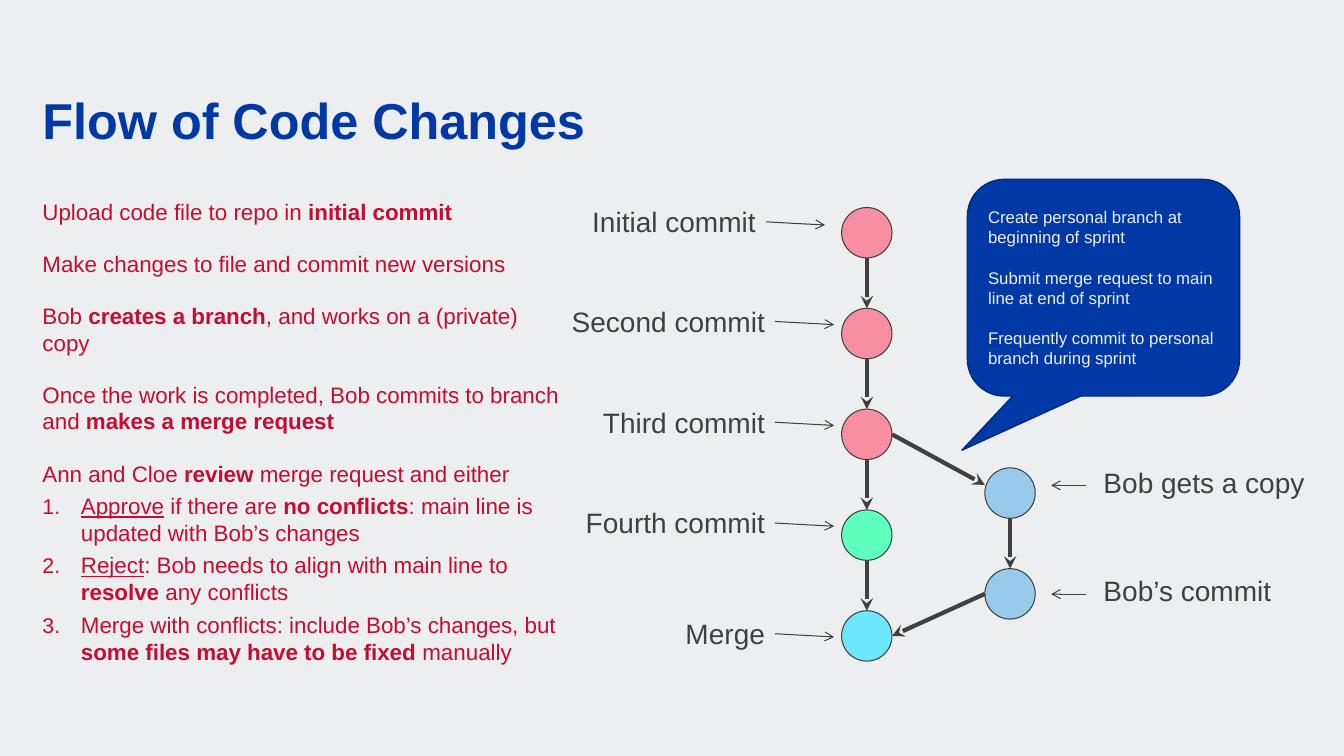
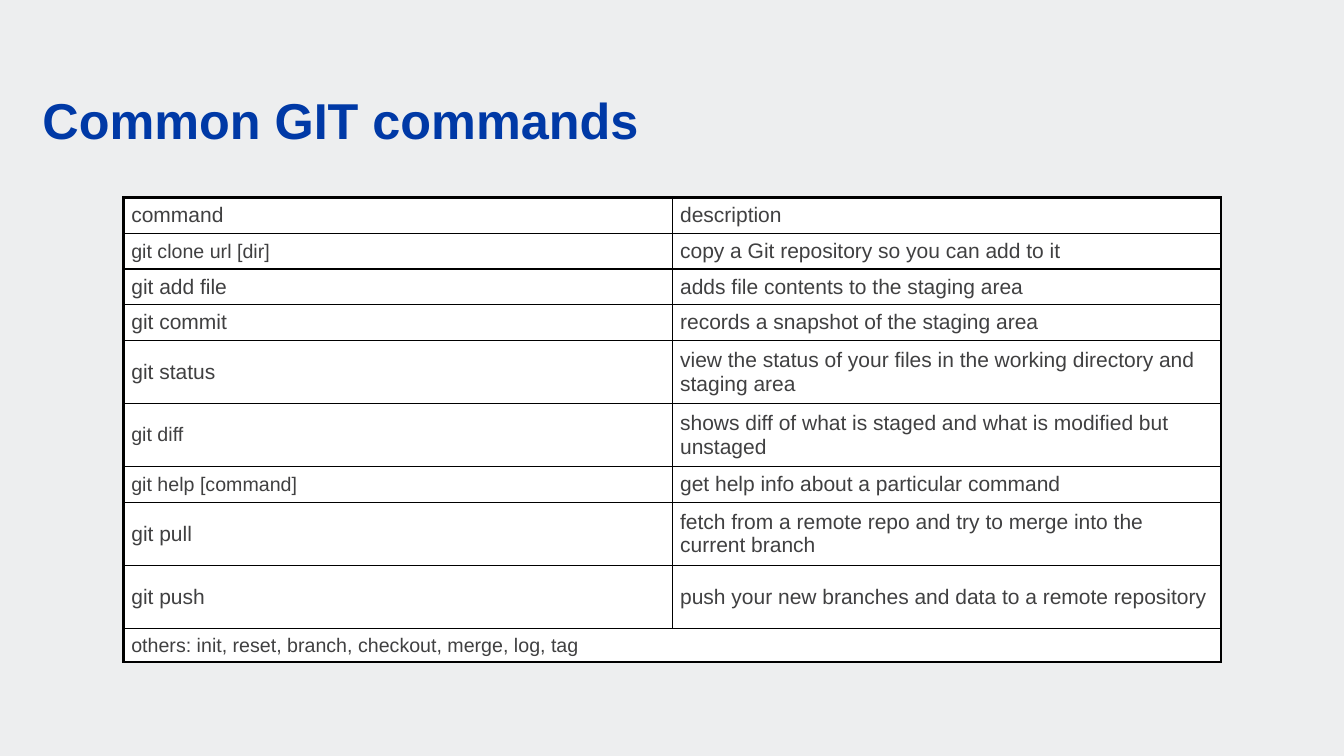
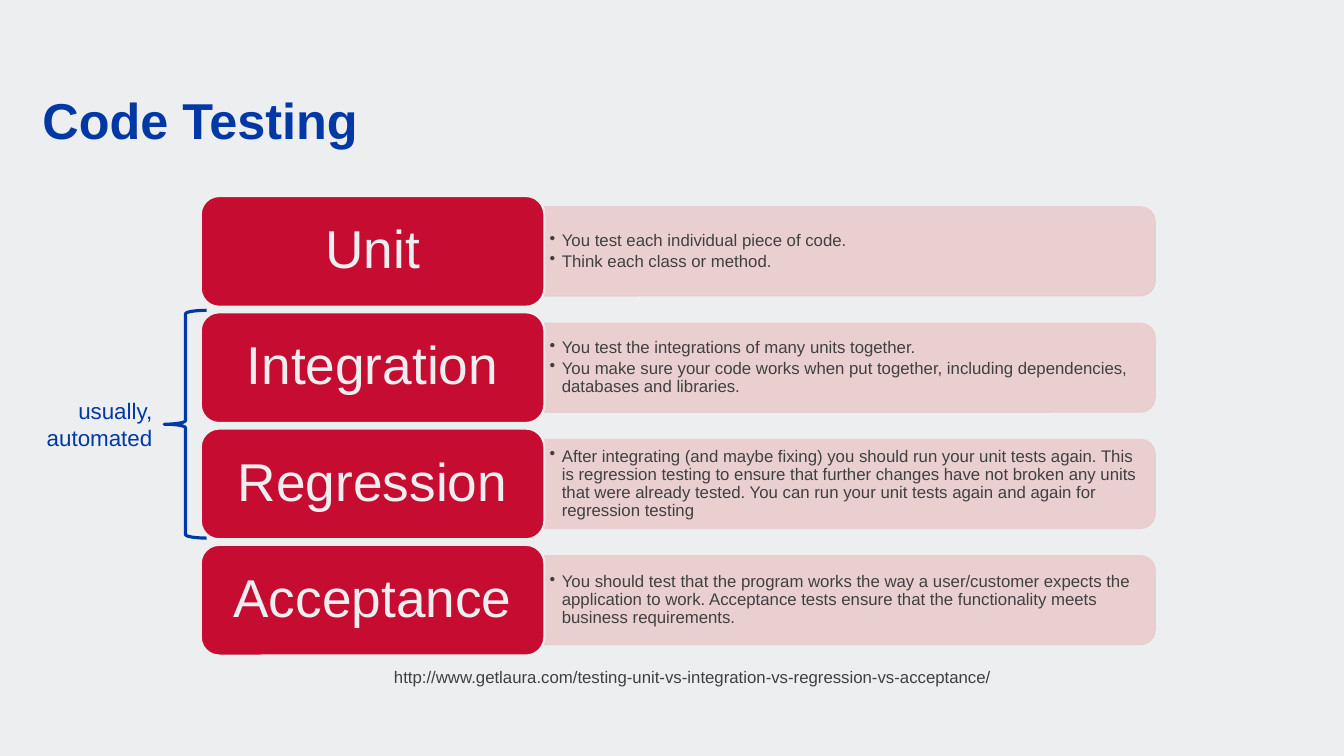
import lxml.etree
import pptx
import pptx.dml.color
import pptx.enum.shapes
import pptx.enum.text
import pptx.oxml.ns
import pptx.util

Cm = pptx.util.Cm
Pt = pptx.util.Pt
SHAPE = pptx.enum.shapes.MSO_SHAPE
ALIGN = pptx.enum.text.PP_ALIGN
ANCHOR = pptx.enum.text.MSO_ANCHOR
AUTO_SIZE = pptx.enum.text.MSO_AUTO_SIZE

FONT = "Arial"
PAPER, BLUE, NAVY, RED = "EDEEEF", "0039A6", "002A7B", "C60C30"
INK, BLUSH, PINK, SKY = "404041", "EACCCD", "F88EA2", "97CAEB"
MINT, CYAN, WHITE, BLACK = "5FFFBE", "6DE7FC", "FFFFFF", "000000"


def rgb(code):
    return pptx.dml.color.RGBColor.from_string(code)


def add_xml(parent, tag, **attributes):
    return lxml.etree.SubElement(parent, pptx.oxml.ns.qn(tag), attributes)


def write(frame, text, size=12, color=INK, bold=False, align=ALIGN.LEFT, spacing=1.0,
          before=0, after=0, indent=0, bullet=None, numbered=False):
    """Append one paragraph per line; *stars* mark bold and _underscores_ underline."""
    for line in text.split("\n"):
        first = len(frame.paragraphs) == 1 and not frame.paragraphs[0].runs
        paragraph = frame.paragraphs[0] if first else frame.add_paragraph()
        paragraph.alignment = align
        paragraph.line_spacing = spacing
        paragraph.space_before = Pt(0 if first else before)
        paragraph.space_after = Pt(after)
        properties = paragraph._p.get_or_add_pPr()
        properties.set("marL", str(Cm(indent)))
        properties.set("indent", str(-Cm(indent)))
        if numbered:
            add_xml(properties, "a:buSzPct", val="95000")
            add_xml(properties, "a:buAutoNum", type="arabicPeriod")
        elif bullet:
            add_xml(properties, "a:buChar", char=bullet)
        else:
            add_xml(properties, "a:buNone")
        for i, part in enumerate(line.split("*")):
            for j, words in enumerate(part.split("_")):
                if words:
                    run = paragraph.add_run()
                    run.text = words
                    run.font.name = FONT
                    run.font.size = Pt(size)
                    run.font.color.rgb = rgb(color)
                    run.font.bold = bold or i % 2 == 1
                    run.font.underline = j % 2 == 1


def set_frame(frame, anchor=ANCHOR.TOP, insets=(0.25, 0.13), wrap=True):
    frame.word_wrap = wrap
    frame.auto_size = AUTO_SIZE.NONE if wrap else AUTO_SIZE.SHAPE_TO_FIT_TEXT
    frame.vertical_anchor = anchor
    frame.margin_left = frame.margin_right = Cm(insets[0])
    frame.margin_top = frame.margin_bottom = Cm(insets[1])
    return frame


class Deck:
    """Shared style and the current slide; all positions are in centimetres."""

    def __init__(self):
        self.presentation = pptx.Presentation()
        self.presentation.slide_width = Cm(33.87)
        self.presentation.slide_height = Cm(19.05)
        backdrop = self.presentation.slide_master.background.fill
        backdrop.solid()
        backdrop.fore_color.rgb = rgb(PAPER)
        self.slide = None

    def start(self, title, with_body=False):
        layout = self.presentation.slide_layouts[1 if with_body else 5]
        self.slide = self.presentation.slides.add_slide(layout)
        frame = self.place(self.slide.shapes.title, 1.07, 2.39, 31.75, 1.4, ANCHOR.BOTTOM)
        write(frame, title, size=36, color=BLUE, bold=True, spacing=0.9)

    def place(self, placeholder, left, top, width, height, anchor=ANCHOR.TOP):
        placeholder.left, placeholder.top = Cm(left), Cm(top)
        placeholder.width, placeholder.height = Cm(width), Cm(height)
        return set_frame(placeholder.text_frame, anchor, (0, 0))

    def body(self, left, top, width, height):
        return self.place(self.slide.placeholders[1], left, top, width, height)

    def label(self, text, left, top, width, height, anchor=ANCHOR.TOP,
              insets=(0.25, 0.13), wrap=True, **style):
        box = self.slide.shapes.add_textbox(Cm(left), Cm(top), Cm(width), Cm(height))
        write(set_frame(box.text_frame, anchor, insets, wrap), text, **style)

    def shape(self, kind, left, top, width, height, fill=None, line=INK, weight=0.75):
        figure = self.slide.shapes.add_shape(kind, Cm(left), Cm(top), Cm(width), Cm(height))
        figure.shadow.inherit = False
        if fill:
            figure.fill.solid()
            figure.fill.fore_color.rgb = rgb(fill)
        else:
            figure.fill.background()
        figure.line.color.rgb = rgb(line)
        figure.line.width = Pt(weight)
        return figure

    def arrow(self, start, end, weight=0.75, head="arrow"):
        straight = pptx.enum.shapes.MSO_CONNECTOR.STRAIGHT
        link = self.slide.shapes.add_connector(
            straight, *(Cm(value) for value in (*start, *end)))
        link.line.color.rgb = rgb(INK)
        link.line.width = Pt(weight)
        add_xml(link.line._get_or_add_ln(), "a:tailEnd", type=head)
        add_xml(link._element.spPr, "a:effectLst")

    def table(self, left, top, widths, heights):
        grid = self.slide.shapes.add_table(
            len(heights), len(widths), Cm(left), Cm(top),
            Cm(sum(widths)), Cm(sum(heights))).table
        grid.first_row = grid.horz_banding = False
        for column, width in zip(grid.columns, widths):
            column.width = Cm(width)
        for row, height in zip(grid.rows, heights):
            row.height = Cm(height)
        return grid

    def cell(self, grid, row, column, text, size):
        """Fill one cell; edges on the outside of the table are heavier."""
        cell = grid.cell(row, column)
        last_row, last_column = len(grid.rows) - 1, len(grid.columns) - 1
        outer = {"a:lnL": column == 0, "a:lnR": column == last_column or row == last_row,
                 "a:lnT": row == 0, "a:lnB": row == last_row}
        properties = cell._tc.get_or_add_tcPr()
        for side, heavy in outer.items():
            edge = add_xml(properties, side, w=str(Pt(2.25 if heavy else 1)))
            add_xml(add_xml(edge, "a:solidFill"), "a:srgbClr", val=BLACK)
        cell.fill.solid()
        cell.fill.fore_color.rgb = rgb(WHITE)
        cell.vertical_anchor = ANCHOR.MIDDLE
        cell.margin_left = cell.margin_right = Cm(0.2)
        cell.margin_top = cell.margin_bottom = Cm(0.1)
        write(cell.text_frame, text, size=size)


def code_changes(deck):
    deck.start("Flow of Code Changes", with_body=True)
    story = deck.body(1.07, 4.98, 13.16, 11.99)
    write(story, "Upload code file to repo in *initial commit*\n"
          "Make changes to file and commit new versions\n"
          "Bob *creates a branch*, and works on a (private) copy\n"
          "Once the work is completed, Bob commits to branch and *makes a merge request*\n"
          "Ann and Cloe *review* merge request and either", size=16, color=RED, before=18)
    write(story, "_Approve_ if there are *no conflicts*: main line is updated with Bob’s changes\n"
          "_Reject_: Bob needs to align with main line to *resolve* any conflicts\n"
          "Merge with conflicts: include Bob’s changes, but "
          "*some files may have to be fixed* manually",
          size=16, color=RED, before=4, indent=0.97, numbered=True)

    dot, pitch = 1.27, 2.54
    main_left, main_top = 21.21, 5.23
    branch_left, branch_top = 24.82, 11.79

    def commit(left, top, color, is_first):
        deck.shape(SHAPE.OVAL, left, top, dot, dot, color)
        if not is_first:
            middle = left + dot / 2
            deck.arrow((middle, top + dot - pitch), (middle, top), 3, "stealth")

    main_line = [("Initial commit", PINK, 19.3, -0.2), ("Second commit", PINK, 19.53, -0.23),
                 ("Third commit", PINK, 19.53, -0.23), ("Fourth commit", MINT, 19.53, -0.23),
                 ("Merge", CYAN, 19.53, 0.02)]
    for i, (name, color, right, shift) in enumerate(main_line):
        top = main_top + i * pitch
        commit(main_left, top, color, i == 0)
        deck.label(name, right - 6.15, top + shift, 6.15, 1.11, size=20, align=ALIGN.RIGHT)
        pointer = top + shift + 0.56
        deck.arrow((right, pointer), (right + 1.49, pointer + 0.08))

    for i, (name, width, shift) in enumerate([("Bob gets a copy", 5.61, -0.2),
                                              ("Bob’s commit", 4.78, 0)]):
        top = branch_top + i * pitch
        commit(branch_left, top, SKY, i == 0)
        deck.label(name, 27.56, top + shift, width, 1.11, wrap=False, size=20)
        pointer = top + shift + 0.64
        deck.arrow((27.36, pointer), (26.49, pointer))

    main_right = main_left + dot
    third_middle = main_top + 2 * pitch + dot / 2
    deck.arrow((main_right, third_middle), (branch_left, 12.22), 3, "stealth")
    deck.arrow((branch_left, branch_top + pitch + dot / 2),
               (main_right, third_middle + 2 * pitch), 3, "stealth")

    advice = deck.shape(SHAPE.ROUNDED_RECTANGULAR_CALLOUT, 24.38, 4.52, 6.86, 5.46,
                        BLUE, NAVY, 1)
    for i, value in enumerate((-0.52, 0.75, 0.17)):
        advice.adjustments[i] = value
    write(set_frame(advice.text_frame, ANCHOR.MIDDLE),
          "Create personal branch at beginning of sprint\n"
          "Submit merge request to main line at end of sprint\n"
          "Frequently commit to personal branch during sprint", color=PAPER, before=14.4)


def git_commands(deck):
    deck.start("Common GIT commands")
    low, high = 0.9, 1.59
    commands = [
        ("command", 15, "description", low),
        ("git clone url [dir]", 14, "copy a Git repository so you can add to it", low),
        ("git add file", 15, "adds file contents to the staging area", low),
        ("git commit", 15, "records a snapshot of the staging area", low),
        ("git status", 15,
         "view the status of your files in the working directory and staging area", high),
        ("git diff", 14, "shows diff of what is staged and what is modified but unstaged", high),
        ("git help [command]", 14, "get help info about a particular command", low),
        ("git pull", 15, "fetch from a remote repo and try to merge into the current branch", high),
        ("git push", 15, "push your new branches and data to a remote repository", high),
        ("others: init, reset, branch, checkout, merge, log, tag", 14, "", 0.84),
    ]
    grid = deck.table(3.11, 4.98, [13.83, 13.83], [row[-1] for row in commands])
    for i, (command, size, description, _) in enumerate(commands):
        deck.cell(grid, i, 0, command, size)
        deck.cell(grid, i, 1, description, 15)
    last = len(commands) - 1
    grid.cell(last, 0).merge(grid.cell(last, 1))


def code_testing(deck):
    deck.start("Code Testing")
    levels = [
        ("Unit", "You test each individual piece of code.\nThink each class or method."),
        ("Integration", "You test the integrations of many units together.\n"
         "You make sure your code works when put together, including dependencies, "
         "databases and libraries."),
        ("Regression", "After integrating (and maybe fixing) you should run your unit tests "
         "again. This is regression testing to ensure that further changes have not broken "
         "any units that were already tested. You can run your unit tests again and again "
         "for regression testing"),
        ("Acceptance", "You should test that the program works the way a user/customer expects "
         "the application to work. Acceptance tests ensure that the functionality meets "
         "business requirements."),
    ]
    card_left, card_width, card_height, pitch = 5.06, 8.66, 2.79, 2.93
    bar_left, bar_length, bar_height = card_left + card_width, 15.39, 2.24
    for i, (name, explanation) in enumerate(levels):
        top = 4.94 + i * pitch
        middle = top + card_height / 2
        bar = deck.shape(SHAPE.ROUND_2_SAME_RECTANGLE,
                         bar_left + (bar_length - bar_height) / 2, middle - bar_length / 2,
                         bar_height, bar_length, BLUSH, BLUSH, 1)
        bar.rotation = 90
        for tint in bar._element.spPr.iter(pptx.oxml.ns.qn("a:srgbClr")):
            add_xml(tint, "a:alpha", val="90000")
        deck.label(explanation, bar_left, middle - 1, 15.29, 2, ANCHOR.MIDDLE, (0.13, 0.08),
                   spacing=0.9, after=1.8, indent=0.31, bullet="•")
        card = deck.shape(SHAPE.ROUNDED_RECTANGLE, card_left, top, card_width, card_height,
                          RED, PAPER, 1.5)
        write(set_frame(card.text_frame, ANCHOR.MIDDLE, (0.4, 0.2)), name,
              size=38, color=PAPER, align=ALIGN.CENTER, spacing=0.9)
    deck.label("http://www.getlaura.com/testing-unit-vs-integration-vs-regression-vs-acceptance/",
               9.68, 16.66, 16.21, 0.78)
    deck.shape(SHAPE.LEFT_BRACE, 4.14, 7.82, 1.07, 5.74, line=BLUE, weight=2.25)
    deck.label("usually,\nautomated", 0.89, 9.88, 3.2, 1.63, wrap=False,
               size=16, color=BLUE, align=ALIGN.RIGHT)


def main():
    deck = Deck()
    code_changes(deck)
    git_commands(deck)
    code_testing(deck)
    deck.presentation.save("out.pptx")


if __name__ == "__main__":
    main()
